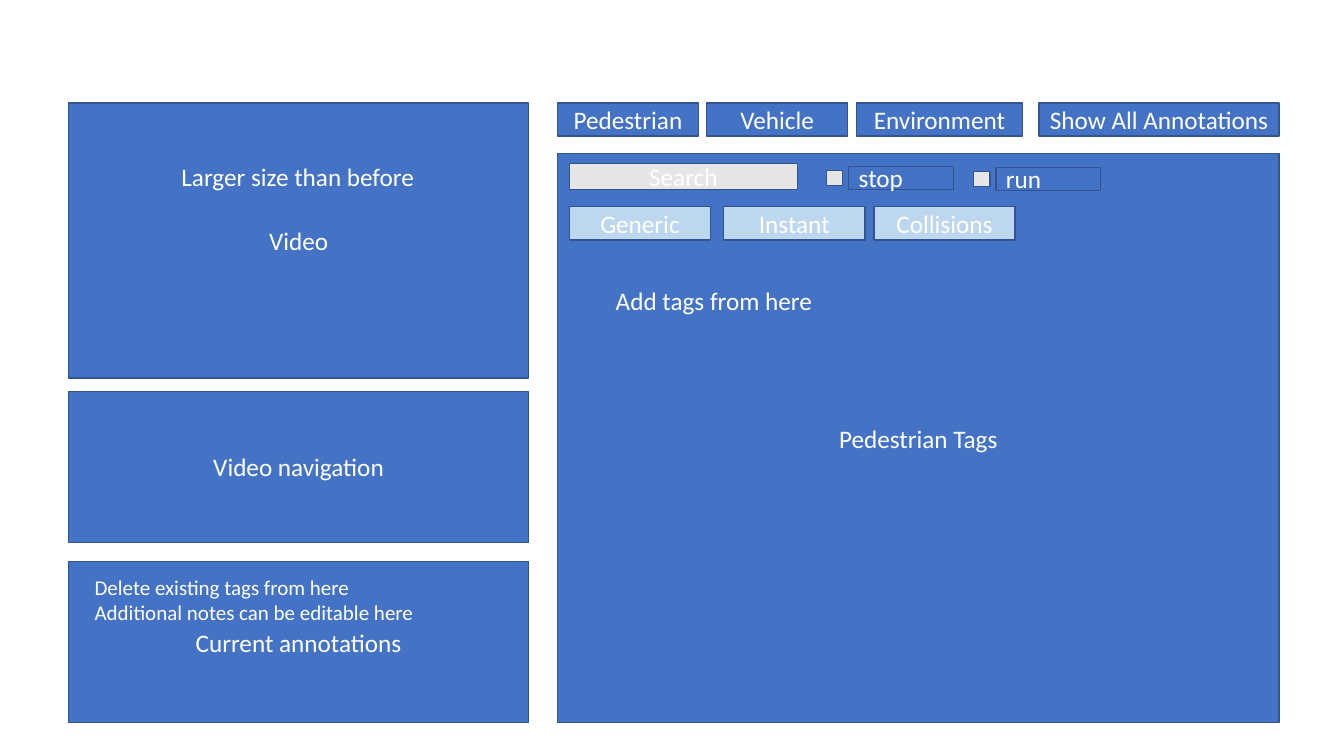
"""Build a wireframe slide of a video annotation screen."""
from pptx import Presentation
from pptx import util as u
from pptx.dml.color import RGBColor
from pptx.enum import shapes, text

BLUE = RGBColor(0x44, 0x72, 0xC4)
PALE_BLUE = RGBColor(0xBD, 0xD7, 0xEE)
GREY = RGBColor(0xE7, 0xE6, 0xE6)
OUTLINE = RGBColor(0x32, 0x54, 0x91)
WHITE = RGBColor(0xFF, 0xFF, 0xFF)
FONT = "Calibri"

LEFT_X, LEFT_WIDTH = 49, 328.5
RIGHT_X, RIGHT_WIDTH = 398.2, 515.5
INNER_X = 406.8
TOP, BUTTON_WIDTH, BUTTON_HEIGHT = 73.5, 100.8, 23.8
FILTER_TOP = 147.6

PANELS = [
    ("Video", LEFT_X, TOP, LEFT_WIDTH, 196.5),
    ("Pedestrian Tags", RIGHT_X, 109.5, RIGHT_WIDTH, 406.8),
    ("Video navigation", LEFT_X, 279.5, LEFT_WIDTH, 108),
    ("Current annotations", LEFT_X, 401, LEFT_WIDTH, 115.3),
]
TABS = [
    ("Pedestrian", RIGHT_X, BUTTON_WIDTH),
    ("Vehicle", 504.8, BUTTON_WIDTH),
    ("Environment", 612, 118.2),
    ("Show All Annotations", 742.2, 171.5),
]
FILTERS = [("Generic", INNER_X), ("Instant", 517), ("Collisions", 624.3)]
SEARCH = ("Search", INNER_X, 116.6, 162.7, 18.8)
OPTIONS = [("stop", 590.5, 118.8), ("run", 695.6, 119.5)]
NOTES = [
    (["Delete existing tags from here", "Additional notes can be editable here"],
     60.5, 406.8, 305.3, 43.9, 15, text.PP_ALIGN.LEFT),
    (["Add tags from here"], 432.7, 200.2, 215.3, 28.8, 18, text.PP_ALIGN.LEFT),
    (["Larger size than before"], 82, 111.6, 261.4, 28.8, 18, text.PP_ALIGN.CENTER),
]


def write(para, words, size, align):
    para.alignment = align
    span = para.add_run()
    span.text = words
    span.font.name = FONT
    span.font.size = u.Pt(size)
    span.font.color.rgb = WHITE


def add_box(parent, words, left, top, width, height, fill=BLUE,
            align=text.PP_ALIGN.CENTER):
    box = parent.add_shape(shapes.MSO_SHAPE.RECTANGLE, u.Pt(left), u.Pt(top),
                           u.Pt(width), u.Pt(height))
    box.shadow.inherit = False
    box.fill.solid()
    box.fill.fore_color.rgb = fill
    box.line.color.rgb = OUTLINE
    box.line.width = u.Pt(1)
    if words:
        box.text_frame.vertical_anchor = text.MSO_ANCHOR.MIDDLE
        write(box.text_frame.paragraphs[0], words, 18, align)


def add_option(parent, words, left, top):
    group = parent.add_group_shape()
    add_box(group.shapes, "", left, top + 2.9, 11.5, 10.8, GREY)
    add_box(group.shapes, words, left + 15.8, top, 74.9, 16.6,
            align=text.PP_ALIGN.LEFT)


def add_note(parent, lines, left, top, width, height, size, align):
    note = parent.add_textbox(u.Pt(left), u.Pt(top), u.Pt(width), u.Pt(height))
    frame = note.text_frame
    frame.word_wrap = True
    frame.auto_size = text.MSO_AUTO_SIZE.SHAPE_TO_FIT_TEXT
    for index, words in enumerate(lines):
        para = frame.add_paragraph() if index else frame.paragraphs[0]
        write(para, words, size, align)


def main():
    deck = Presentation()
    deck.slide_width, deck.slide_height = u.Pt(960), u.Pt(540)
    page = deck.slides.add_slide(deck.slide_layouts[6]).shapes
    for panel in PANELS:
        add_box(page, *panel)
    for words, left, width in TABS:
        add_box(page, words, left, TOP, width, BUTTON_HEIGHT)
    for words, left in FILTERS:
        add_box(page, words, left, FILTER_TOP, BUTTON_WIDTH, BUTTON_HEIGHT, PALE_BLUE)
    add_box(page, *SEARCH, fill=GREY)
    for option in OPTIONS:
        add_option(page, *option)
    for note in NOTES:
        add_note(page, *note)
    deck.save("out.pptx")


if __name__ == "__main__":
    main()
